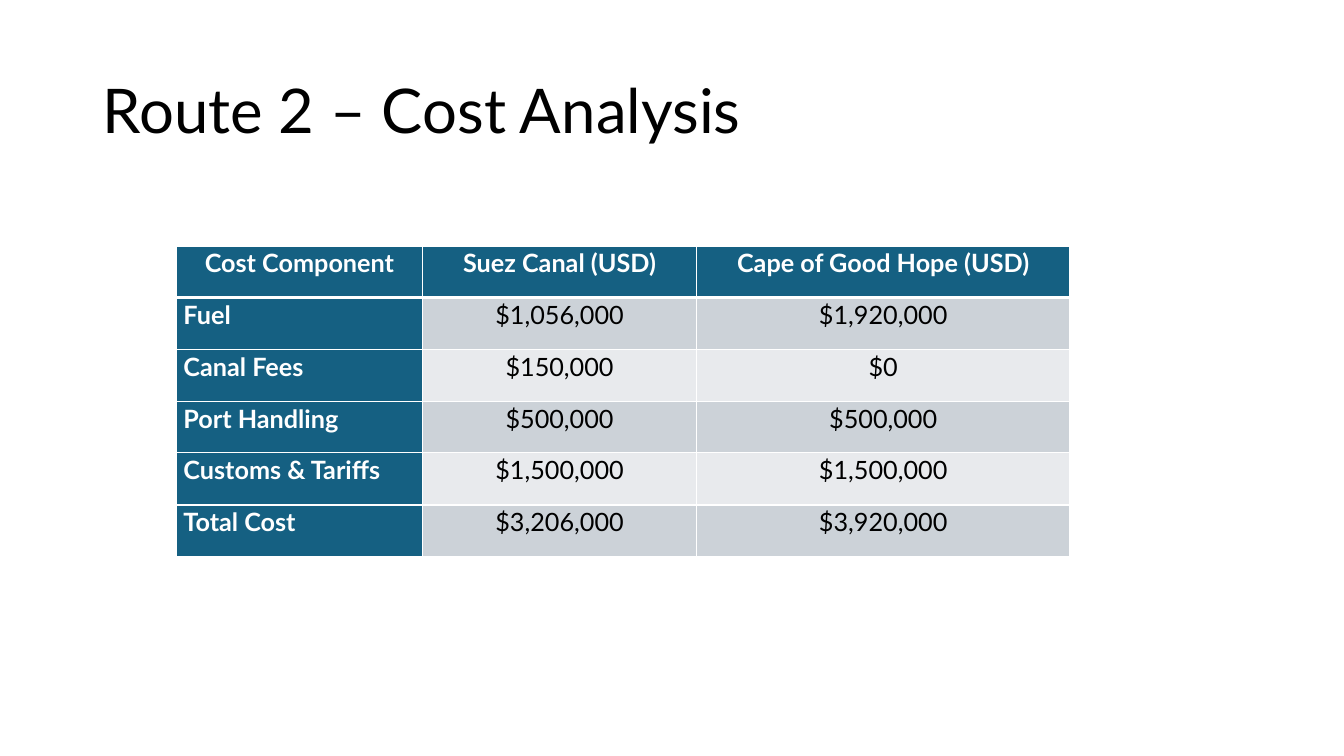
from dataclasses import dataclass

from lxml import etree
from pptx import Presentation
from pptx.dml.color import RGBColor
from pptx.enum.text import MSO_ANCHOR, PP_ALIGN
from pptx.oxml.ns import qn
from pptx.util import Pt

PX = 9144
LEFT, CENTER = PP_ALIGN.LEFT, PP_ALIGN.CENTER
MIDDLE, TOP = MSO_ANCHOR.MIDDLE, MSO_ANCHOR.TOP


@dataclass(frozen=True)
class Theme:
    font: str = "Lato"
    title_size: int = 44
    table_size: int = 18
    black: str = "000000"
    white: str = "FFFFFF"
    header: str = "156082"
    bands: tuple = ("CCD2D8", "E8EAED")
    rule: int = 1
    header_rule: int = 3


THEME = Theme()

COLUMN_WIDTHS = [244, 272, 370]
ROW_HEIGHTS = [51, 52, 51, 51, 52, 51]
COSTS = [
    ["Cost Component", "Suez Canal (USD)", "Cape of Good Hope (USD)"],
    ["Fuel", "$1,056,000", "$1,920,000"],
    ["Canal Fees", "$150,000", "$0"],
    ["Port Handling", "$500,000", "$500,000"],
    ["Customs & Tariffs", "$1,500,000", "$1,500,000"],
    ["Total Cost", "$3,206,000", "$3,920,000"],
]


def px(n):
    return n * PX


def write(tf, text, *, size, color, bold=False, align=LEFT, spacing=1.0, after=0):
    p = tf.paragraphs[0]
    p.alignment = align
    p.line_spacing = spacing
    p.space_before = Pt(0)
    p.space_after = Pt(after)
    r = p.add_run()
    r.text = text
    r.font.name = THEME.font
    r.font.size = Pt(size)
    r.font.bold = bold
    r.font.color.rgb = RGBColor.from_string(color)


def set_borders(cell, widths):
    tc_pr = cell._tc.get_or_add_tcPr()
    for side, width in widths.items():
        ln = etree.SubElement(tc_pr, qn(f"a:ln{side}"), w=str(Pt(width)))
        fill = etree.SubElement(ln, qn("a:solidFill"))
        etree.SubElement(fill, qn("a:srgbClr"), val=THEME.white)


def add_title(s, text, x, y, w, h):
    sp = s.shapes.title
    sp.left, sp.top, sp.width, sp.height = map(px, (x, y, w, h))
    sp.text_frame.word_wrap = True
    sp.text_frame.vertical_anchor = MIDDLE
    write(sp.text_frame, text, size=THEME.title_size, color=THEME.black, spacing=0.9)


def format_cell(cell, text, row, col):
    heading = row == 0 or col == 0
    cell.margin_left = cell.margin_right = px(7)
    cell.margin_top = cell.margin_bottom = 0
    cell.vertical_anchor = TOP
    set_borders(cell, {
        "L": THEME.rule,
        "R": THEME.rule,
        "T": THEME.header_rule if row == 1 else THEME.rule,
        "B": THEME.header_rule if row == 0 else THEME.rule,
    })
    cell.fill.solid()
    fill = THEME.header if heading else THEME.bands[(row - 1) % 2]
    cell.fill.fore_color.rgb = RGBColor.from_string(fill)
    write(
        cell.text_frame, text, size=THEME.table_size, bold=heading,
        color=THEME.white if heading else THEME.black,
        align=LEFT if row and not col else CENTER, spacing=1.07, after=8,
    )


def add_cost_table(s, rows, x, y):
    frame = s.shapes.add_table(
        len(rows), len(COLUMN_WIDTHS), px(x), px(y),
        px(sum(COLUMN_WIDTHS)), px(sum(ROW_HEIGHTS)),
    )
    table = frame.table
    table.first_col = True
    table.horz_banding = False
    for column, width in zip(table.columns, COLUMN_WIDTHS):
        column.width = px(width)
    for table_row, height in zip(table.rows, ROW_HEIGHTS):
        table_row.height = px(height)
    for i, values in enumerate(rows):
        for j, text in enumerate(values):
            format_cell(table.cell(i, j), text, i, j)


def main():
    prs = Presentation()
    prs.slide_width, prs.slide_height = px(1333), px(750)
    s = prs.slides.add_slide(prs.slide_layouts[5])
    add_title(s, "Route 2 – Cost Analysis", 92, 40, 1150, 145)
    add_cost_table(s, COSTS, 175, 244)
    prs.save("out.pptx")


if __name__ == "__main__":
    main()
